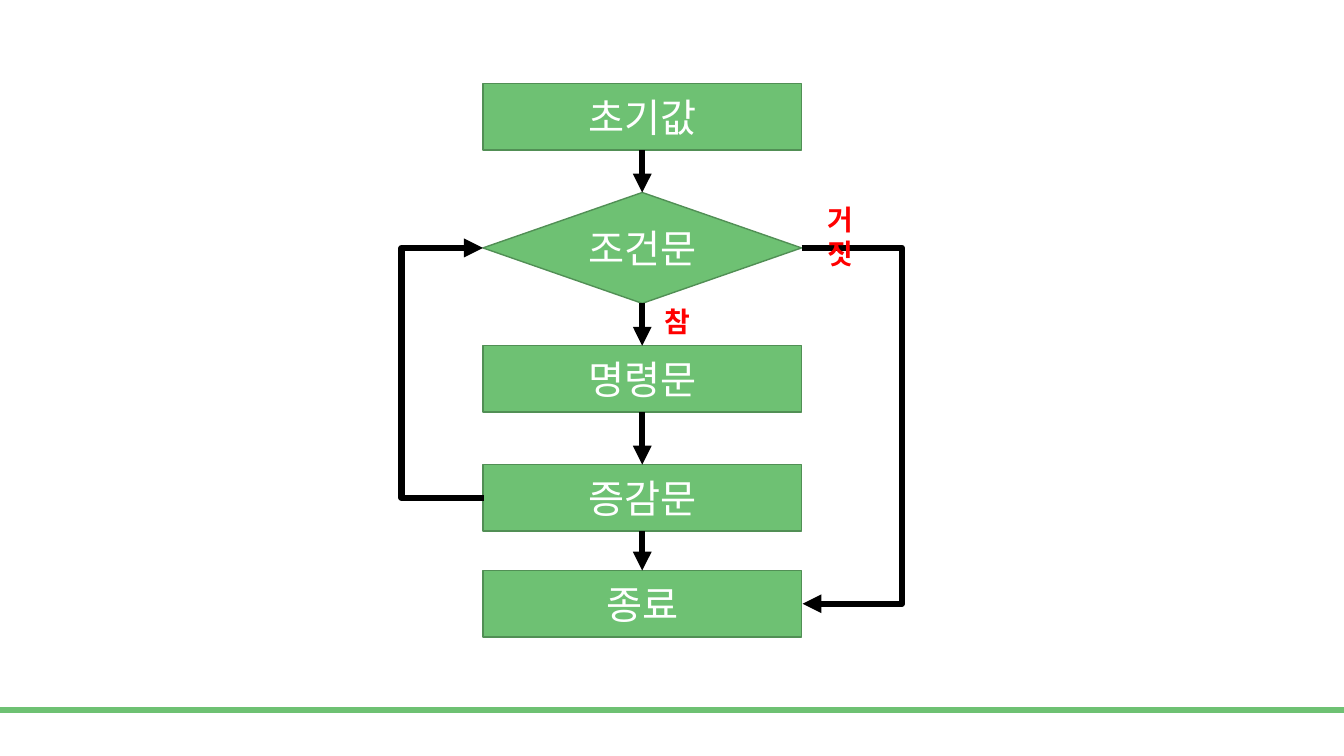
from dataclasses import dataclass
from itertools import pairwise

from lxml.etree import SubElement
from pptx import Presentation
from pptx.dml.color import RGBColor
from pptx.enum.shapes import MSO_CONNECTOR as Link, MSO_SHAPE as Preset
from pptx.enum.text import MSO_ANCHOR as Anchor, PP_ALIGN as Align
from pptx.oxml.ns import qn
from pptx.shapes.autoshape import Shape
from pptx.shapes.connector import Connector
from pptx.slide import Slide
from pptx.text.text import TextFrame
from pptx.util import Emu, Pt

PX = 9144
SLIDE_W, SLIDE_H = 1333, 750
STEP_LEFT, STEP_W = 479, 316
STEP_RIGHT = STEP_LEFT + STEP_W
BOX_H, DIAMOND_H = 66, 110
FONT = "Noto Sans CJK KR"
COLORS = {
    "green": "6EC173",
    "outline": "518F55",
    "white": "FFFFFF",
    "arrow": "000000",
    "answer": "FF0000",
}


@dataclass(frozen=True)
class Step:
    text: str
    top: int
    height: int = BOX_H
    preset: Preset = Preset.RECTANGLE

    @property
    def middle(self) -> int:
        return self.top + self.height // 2


@dataclass(frozen=True)
class Detour:
    start: tuple[int, int]
    end: tuple[int, int]
    reach: int


@dataclass(frozen=True)
class Answer:
    text: str
    left: int
    top: int
    width: int
    height: int = 44


INITIAL = Step("초기값", 83)
CONDITION = Step("조건문", 191, DIAMOND_H, Preset.FLOWCHART_DECISION)
COMMAND = Step("명령문", 343)
UPDATE = Step("증감문", 461)
FINISH = Step("종료", 566)
STEPS = [INITIAL, CONDITION, COMMAND, UPDATE, FINISH]

DETOURS = [
    Detour((STEP_LEFT + 1, UPDATE.middle), (STEP_LEFT, CONDITION.middle), 83),
    Detour((STEP_RIGHT, CONDITION.middle), (STEP_RIGHT + 1, FINISH.middle), 101),
]
ANSWERS = [Answer("참", 649, 297, 45), Answer("거짓", 811, 196, 69)]


def px(*lengths: int) -> list[Emu]:
    return [Emu(length * PX) for length in lengths]


def color(name: str) -> RGBColor:
    return RGBColor.from_string(COLORS[name])


def write(frame: TextFrame, text: str, size: int, ink: str, bold: bool = False) -> None:
    frame.word_wrap = True
    run = frame.paragraphs[0].add_run()
    run.text = text
    run.font.size = Pt(size)
    run.font.bold = bold
    run.font.color.rgb = color(ink)
    run.font.name = FONT
    SubElement(run.font._element, qn("a:ea"), typeface=FONT)


def add_block(slide: Slide, preset: Preset, bounds: list[Emu], outline: str) -> Shape:
    block = slide.shapes.add_shape(preset, *bounds)
    block.shadow.inherit = False
    block.fill.solid()
    block.fill.fore_color.rgb = color("green")
    block.line.color.rgb = color(outline)
    block.line.width = Pt(1)
    return block


def add_step(slide: Slide, step: Step) -> Shape:
    bounds = px(STEP_LEFT, step.top, STEP_W, step.height)
    block = add_block(slide, step.preset, bounds, "outline")
    block.text_frame.vertical_anchor = Anchor.MIDDLE
    block.text_frame.paragraphs[0].alignment = Align.CENTER
    write(block.text_frame, step.text, 28, "white")
    return block


def style_arrow(arrow: Connector) -> None:
    arrow.line.color.rgb = color("arrow")
    arrow.line.width = Pt(4.5)
    SubElement(arrow.line._get_or_add_ln(), qn("a:tailEnd"), type="triangle")
    SubElement(arrow._element.spPr, qn("a:effectLst"))


def add_flow(slide: Slide, upper: Shape, lower: Shape) -> None:
    center = upper.left + upper.width // 2
    arrow = slide.shapes.add_connector(
        Link.STRAIGHT, center, upper.top + upper.height, center, lower.top
    )
    arrow.begin_connect(upper, 2)
    arrow.end_connect(lower, 0)
    style_arrow(arrow)


def add_detour(slide: Slide, detour: Detour) -> None:
    arrow = slide.shapes.add_connector(Link.ELBOW, *px(*detour.start, *detour.end))
    span = abs(detour.end[0] - detour.start[0])
    guides = arrow._element.spPr.find(qn("a:prstGeom")).get_or_add_avLst()
    bend = detour.reach * 100000 // span
    SubElement(guides, qn("a:gd"), name="adj1", fmla=f"val {bend}")
    style_arrow(arrow)


def add_answer(slide: Slide, answer: Answer) -> None:
    bounds = px(answer.left, answer.top, answer.width, answer.height)
    label = slide.shapes.add_textbox(*bounds)
    write(label.text_frame, answer.text, 20, "answer", bold=True)


def main() -> None:
    deck = Presentation()
    deck.slide_width, deck.slide_height = px(SLIDE_W, SLIDE_H)
    slide = deck.slides.add_slide(deck.slide_layouts[6])

    add_block(slide, Preset.RECTANGLE, px(0, 702, SLIDE_W, 5), "green")
    blocks = [add_step(slide, step) for step in STEPS]
    for upper, lower in pairwise(blocks):
        add_flow(slide, upper, lower)
    for detour in DETOURS:
        add_detour(slide, detour)
    for answer in ANSWERS:
        add_answer(slide, answer)

    deck.save("out.pptx")


if __name__ == "__main__":
    main()
